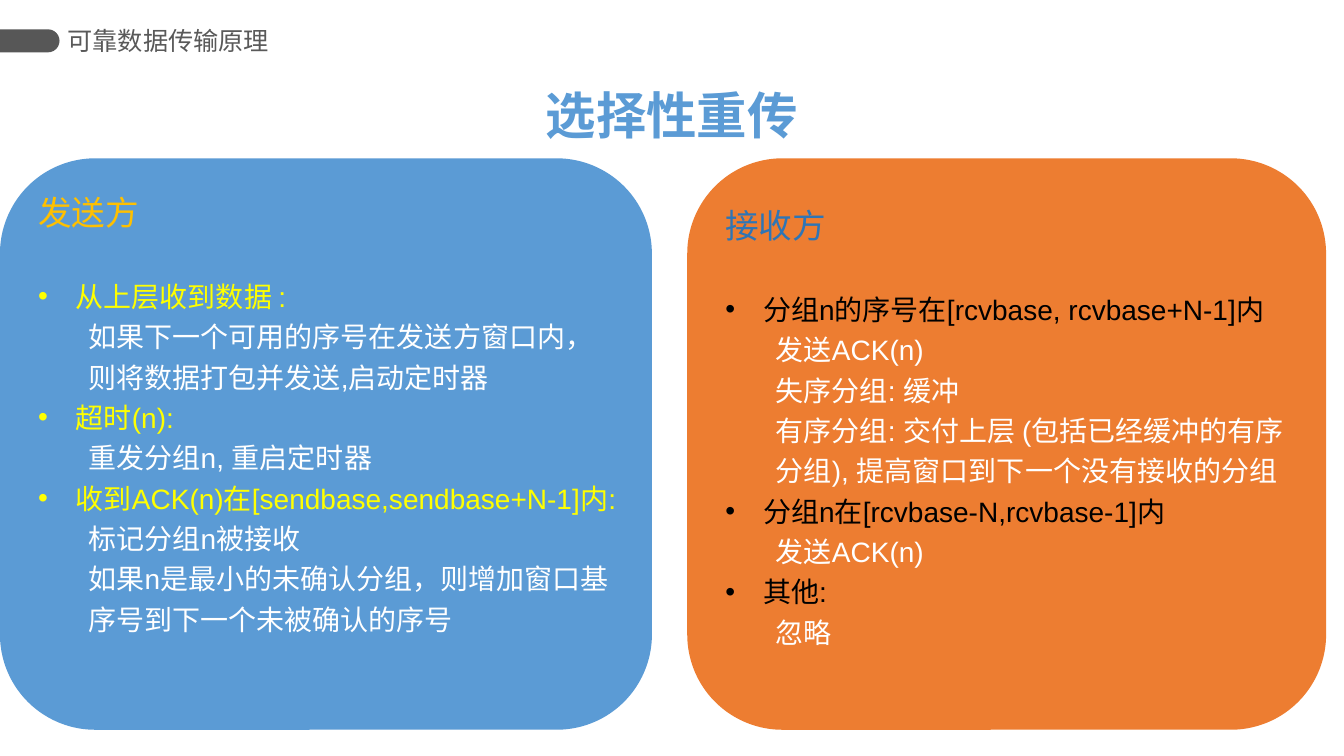
from lxml import etree
from pptx import Presentation
from pptx.dml.color import RGBColor
from pptx.enum import shapes, text
from pptx.oxml import ns
from pptx.util import Cm, Pt


def paint(color_format, value):
    color_format.rgb = RGBColor.from_string(value)


def write(tf, content, size=20, color="FFFFFF", bold=False, align="LEFT",
          level=0, margin=0, indent=0, bullet=None, spacing=1.0, after=0):
    p = tf.paragraphs[0]
    if p.runs:
        p = tf.add_paragraph()
    p.level = level
    p.alignment = getattr(text.PP_ALIGN, align)
    p.line_spacing = spacing
    p.space_before = Pt(0)
    p.space_after = Pt(after)
    pPr = p._p.get_or_add_pPr()
    pPr.set("marL", str(Cm(margin)))
    pPr.set("indent", str(Cm(indent)))
    if bullet:
        font = etree.SubElement(pPr, ns.qn("a:buFont"))
        font.set("typeface", "Arial")
        etree.SubElement(pPr, ns.qn("a:buChar")).set("char", bullet)
    else:
        etree.SubElement(pPr, ns.qn("a:buNone"))
    r = p.add_run()
    r.text = content
    r.font.size = Pt(size)
    r.font.bold = bold
    r.font.name = "Arial"
    paint(r.font.color, color)
    ea = etree.SubElement(r._r.get_or_add_rPr(), ns.qn("a:ea"))
    ea.set("typeface", "Noto Sans CJK SC")


prs = Presentation()
prs.slide_width, prs.slide_height = Cm(33.87), Cm(19.05)
s = prs.slides.add_slide(prs.slide_layouts[3])
title, sender, receiver = s.placeholders

panels = [
    (sender, 0, 16.43, 4.5, "5B9BD5", "发送方", "FFC000", "FFFF00", [
        ("从上层收到数据 :",
         ["如果下一个可用的序号在发送方窗口内，则将数据打包并发送,启动定时器"]),
        ("超时(n):", ["重发分组n, 重启定时器"]),
        ("收到ACK(n)在[sendbase,sendbase+N-1]内:",
         ["标记分组n被接收",
          "如果n是最小的未确认分组，则增加窗口基序号到下一个未被确认的序号"]),
    ]),
    (receiver, 17.32, 16.1, 4.83, "ED7D31", "接收方", "2E75B6", "000000", [
        ("分组n的序号在[rcvbase, rcvbase+N-1]内",
         ["发送ACK(n)", "失序分组: 缓冲",
          "有序分组: 交付上层 (包括已经缓冲的有序分组), 提高窗口到下一个没有接收的分组"]),
        ("分组n在[rcvbase-N,rcvbase-1]内", ["发送ACK(n)"]),
        ("其他:", ["忽略"]),
    ]),
]

bar = s.shapes.add_shape(shapes.MSO_SHAPE.ROUND_2_SAME_RECTANGLE,
                         Cm(0.46), Cm(0.28), Cm(0.58), Cm(1.5))
bar.rotation = 90
bar.adjustments[0] = 0.5
cards = [(bar, "575757")]
for body, left, width, top, fill, *rest in panels:
    card = s.shapes.add_shape(shapes.MSO_SHAPE.ROUNDED_RECTANGLE,
                              Cm(left), Cm(3.99), Cm(width), Cm(14.4))
    cards.append((card, fill))
for sp, fill in cards:
    sp.shadow.inherit = False
    sp.fill.solid()
    paint(sp.fill.fore_color, fill)
    sp.line.fill.background()
    s.shapes._spTree.insert(2, sp._element)

header = s.shapes.add_textbox(Cm(1.7), Cm(0.48), Cm(5.92), Cm(1.07))
boxes = [(header, 1.7, 0.48, 5.92, 1.07, "MIDDLE"),
         (title, 13.46, 1.98, 6.93, 1.8, "MIDDLE")]
for body, left, width, top, *rest in panels:
    boxes.append((body, left + 0.96, top, width - 1.92, 13.5, "TOP"))
for sp, left, top, width, height, anchor in boxes:
    sp.left, sp.top, sp.width, sp.height = Cm(left), Cm(top), Cm(width), Cm(height)
    tf = sp.text_frame
    tf.auto_size = text.MSO_AUTO_SIZE.NONE
    tf.word_wrap = True
    tf.vertical_anchor = getattr(text.MSO_ANCHOR, anchor)
    tf.margin_left = tf.margin_right = 0
    tf.margin_top = tf.margin_bottom = Cm(0.13)

write(header.text_frame, "可靠数据传输原理", size=18, color="595959")
write(title.text_frame, "选择性重传", size=36, color="5B9BD5", bold=True, align="CENTER")
for body, left, width, top, fill, heading, heading_color, event_color, events in panels:
    tf = body.text_frame
    write(tf, heading, size=24, color=heading_color, spacing=1.2, after=29)
    for event, actions in events:
        write(tf, event, color=event_color, margin=0.95, indent=-0.95,
              bullet="•", spacing=1.2)
        for action in actions:
            write(tf, action, level=1, margin=1.27, spacing=1.2)

prs.save("out.pptx")
